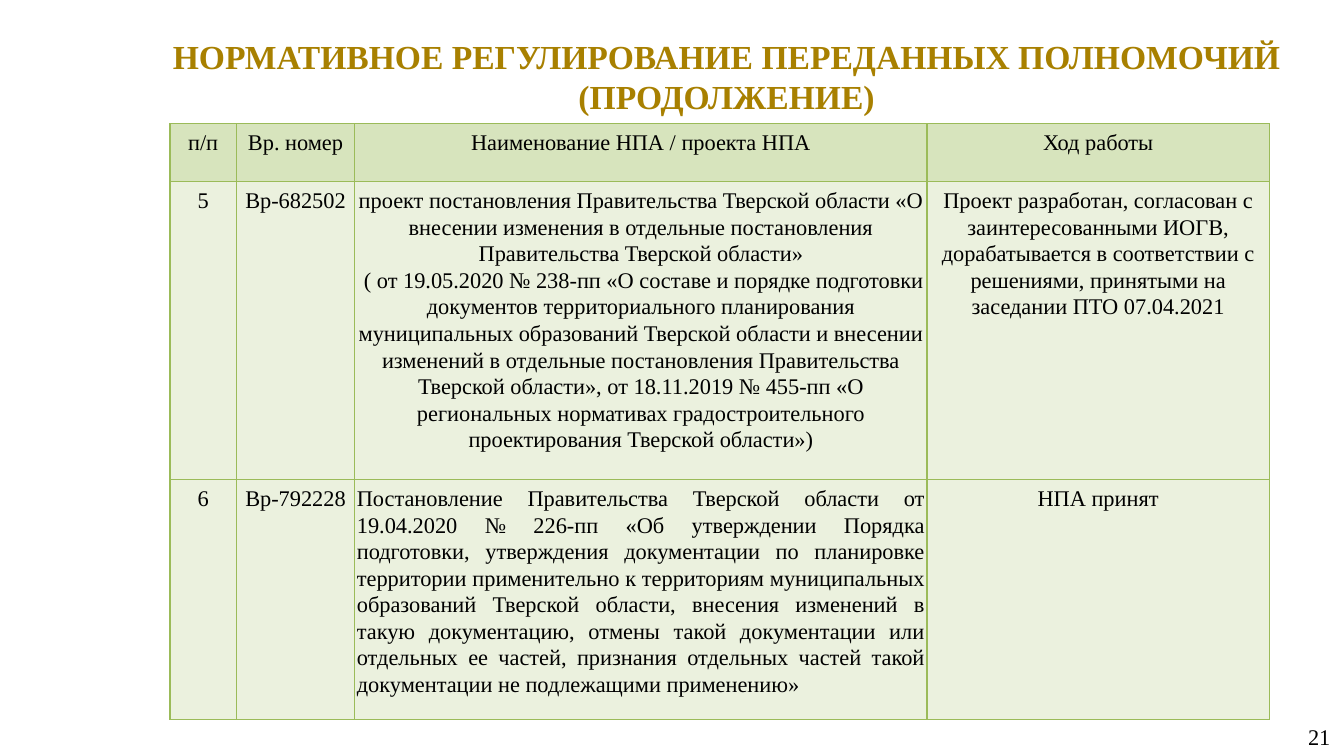
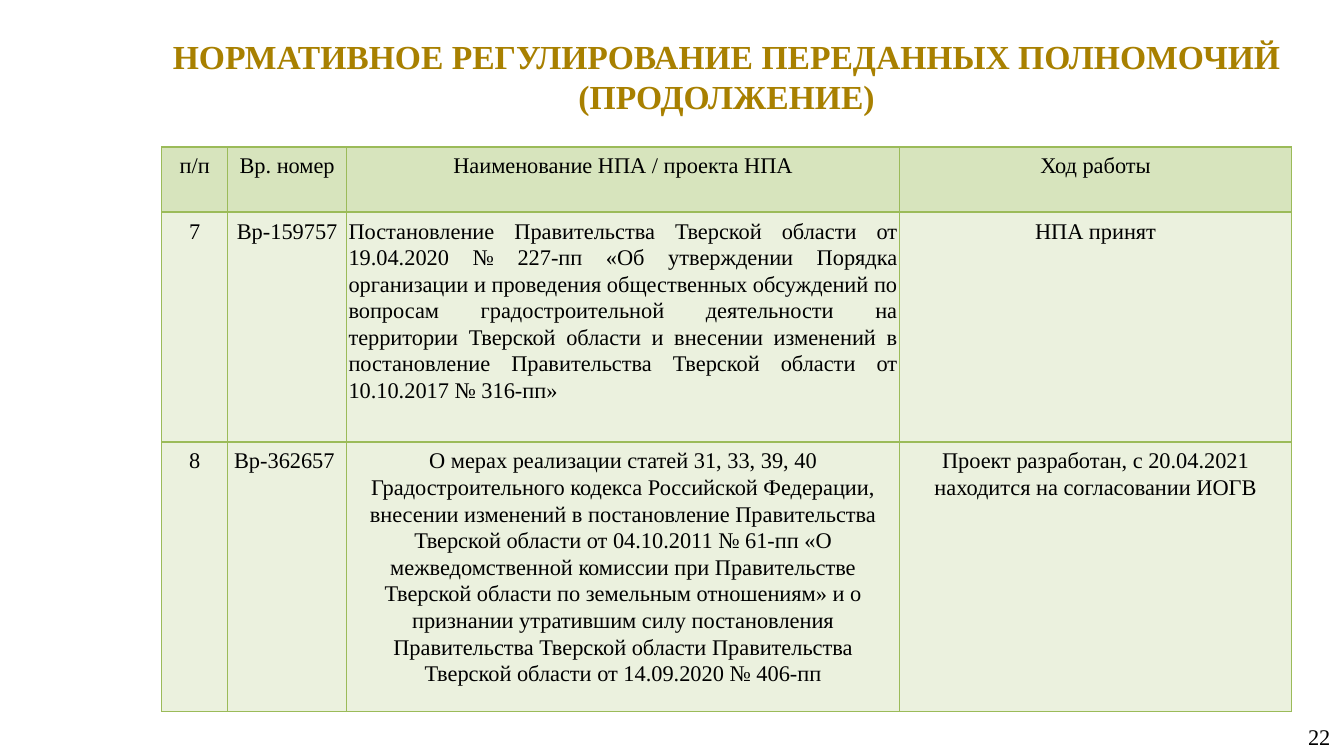
from dataclasses import dataclass

from lxml.etree import SubElement
from pptx import Presentation
from pptx.dml.color import RGBColor
from pptx.enum.text import MSO_ANCHOR as Anchor, MSO_AUTO_SIZE as AutoSize, PP_ALIGN as Align
from pptx.oxml.ns import qn
from pptx.util import Pt

PX = 9525  # EMU in one px, 96 px to the inch
FONT = "Times New Roman"
BLACK = RGBColor(0x00, 0x00, 0x00)
GOLD = RGBColor(0xA8, 0x80, 0x00)
GREEN_LINE = RGBColor(0x9B, 0xBB, 0x59)
GREEN_HEAD = RGBColor(0xD7, 0xE4, 0xBD)
GREEN_BODY = RGBColor(0xEB, 0xF1, 0xDE)

TITLE = "НОРМАТИВНОЕ РЕГУЛИРОВАНИЕ ПЕРЕДАННЫХ ПОЛНОМОЧИЙ (ПРОДОЛЖЕНИЕ)"
HEADINGS = ("п/п", "Вр. номер", "Наименование НПА / проекта НПА", "Ход работы")


@dataclass(frozen=True)
class Act:
    order: str
    number: str
    name: str
    progress: str
    justified: bool = False


@dataclass(frozen=True)
class ActsPage:
    page_number: int
    left: int
    top: int
    columns: tuple[int, ...]
    rows: tuple[int, ...]
    acts: tuple[Act, ...]


PAGES = (
    ActsPage(21, 162, 118, (63, 113, 545, 326), (55, 283, 228), (
        Act("5", "Вр-682502",
            "проект постановления Правительства Тверской области «О внесении изменения "
            "в отдельные постановления Правительства Тверской области»\v"
            " ( от 19.05.2020 № 238-пп «О составе и порядке подготовки документов "
            "территориального планирования муниципальных образований Тверской области "
            "и внесении изменений в отдельные постановления Правительства Тверской "
            "области», от 18.11.2019 № 455-пп «О региональных нормативах "
            "градостроительного проектирования Тверской области»)",
            "Проект разработан, согласован с заинтересованными ИОГВ, дорабатывается "
            "в соответствии с решениями, принятыми на заседании ПТО 07.04.2021"),
        Act("6", "Вр-792228",
            "Постановление Правительства Тверской области от 19.04.2020 № 226-пп "
            "«Об утверждении Порядка подготовки, утверждения документации по планировке "
            "территории применительно к территориям муниципальных образований Тверской "
            "области, внесения изменений в такую документацию, отмены такой документации "
            "или отдельных ее частей, признания отдельных частей такой документации "
            "не подлежащими применению»",
            "НПА принят", justified=True),
    )),
    ActsPage(22, 154, 140, (63, 113, 527, 373), (62, 219, 256), (
        Act("7", "Вр-159757",
            "Постановление Правительства Тверской области от 19.04.2020 № 227-пп "
            "«Об утверждении Порядка организации и проведения общественных обсуждений "
            "по вопросам градостроительной деятельности на территории Тверской области "
            "и внесении изменений в постановление Правительства Тверской области "
            "от 10.10.2017 № 316-пп»",
            "НПА принят", justified=True),
        Act("8", "Вр-362657 ",
            "О мерах реализации статей 31, 33, 39, 40 Градостроительного кодекса "
            "Российской Федерации, внесении изменений в постановление Правительства "
            "Тверской области от 04.10.2011 № 61-пп «О межведомственной комиссии при "
            "Правительстве Тверской области по земельным отношениям» и о признании "
            "утратившим силу постановления Правительства Тверской области Правительства "
            "Тверской области от 14.09.2020 № 406-пп",
            "Проект разработан, с 20.04.2021 находится на согласовании ИОГВ"),
    )),
)


def set_insets(target, across: int, down: int) -> None:
    """Set the inner margins of a text frame or a table cell."""
    target.margin_left = target.margin_right = across * PX
    target.margin_top = target.margin_bottom = down * PX


def write(para, text: str, size: int, color: RGBColor, align: Align, bold: bool = False) -> None:
    para.text = text
    para.alignment = align
    para.font.name = FONT
    para.font.size = Pt(size)
    para.font.bold = bold
    para.font.color.rgb = color


def add_title(page) -> None:
    title = page.shapes.title
    title.left, title.top, title.width, title.height = (n * PX for n in (141, 27, 1102, 89))
    frame = title.text_frame
    frame.word_wrap = True
    frame.auto_size = AutoSize.SHAPE_TO_FIT_TEXT
    frame.vertical_anchor = Anchor.TOP
    set_insets(frame, 12, 7)
    write(frame.paragraphs[0], TITLE, 24, GOLD, Align.CENTER, bold=True)


def add_page_number(page, number: int) -> None:
    box = page.shapes.add_textbox(*(n * PX for n in (980, 682, 299, 38)))
    frame = box.text_frame
    frame.word_wrap = True
    frame.vertical_anchor = Anchor.MIDDLE
    set_insets(frame, 12, 7)
    write(frame.paragraphs[0], str(number), 16, BLACK, Align.RIGHT)


def add_borders(cell) -> None:
    properties = cell._tc.get_or_add_tcPr()
    for side in ("lnL", "lnR", "lnT", "lnB"):
        line = SubElement(properties, qn(f"a:{side}"), w=str(Pt(0.96)))
        fill = SubElement(line, qn("a:solidFill"))
        SubElement(fill, qn("a:srgbClr"), val=str(GREEN_LINE))


def fill_cell(cell, text: str, color: RGBColor, align: Align) -> None:
    set_insets(cell, 2, 5)
    add_borders(cell)
    cell.fill.solid()
    cell.fill.fore_color.rgb = color
    para = cell.text_frame.paragraphs[0]
    write(para, text, 16, BLACK, align)
    para.line_spacing = 1.07
    para.space_after = Pt(8)


def add_acts_table(page, content: ActsPage) -> None:
    table = page.shapes.add_table(
        len(content.rows), len(content.columns), content.left * PX, content.top * PX,
        sum(content.columns) * PX, sum(content.rows) * PX).table
    table.horz_banding = False
    for column, width in zip(table.columns, content.columns):
        column.width = width * PX
    for row, height in zip(table.rows, content.rows):
        row.height = height * PX

    for cell, heading in zip(table.rows[0].cells, HEADINGS):
        fill_cell(cell, heading, GREEN_HEAD, Align.CENTER)
    for index, act in enumerate(content.acts, start=1):
        name_align = Align.JUSTIFY if act.justified else Align.CENTER
        texts = (act.order, act.number, act.name, act.progress)
        aligns = (Align.CENTER, Align.CENTER, name_align, Align.CENTER)
        for cell, text, align in zip(table.rows[index].cells, texts, aligns):
            fill_cell(cell, text, GREEN_BODY, align)


def main() -> None:
    deck = Presentation()
    deck.slide_width, deck.slide_height = 1280 * PX, 720 * PX
    title_only = deck.slide_layouts[5]
    for content in PAGES:
        page = deck.slides.add_slide(title_only)
        add_title(page)
        add_page_number(page, content.page_number)
        add_acts_table(page, content)
    deck.save("out.pptx")


if __name__ == "__main__":
    main()
